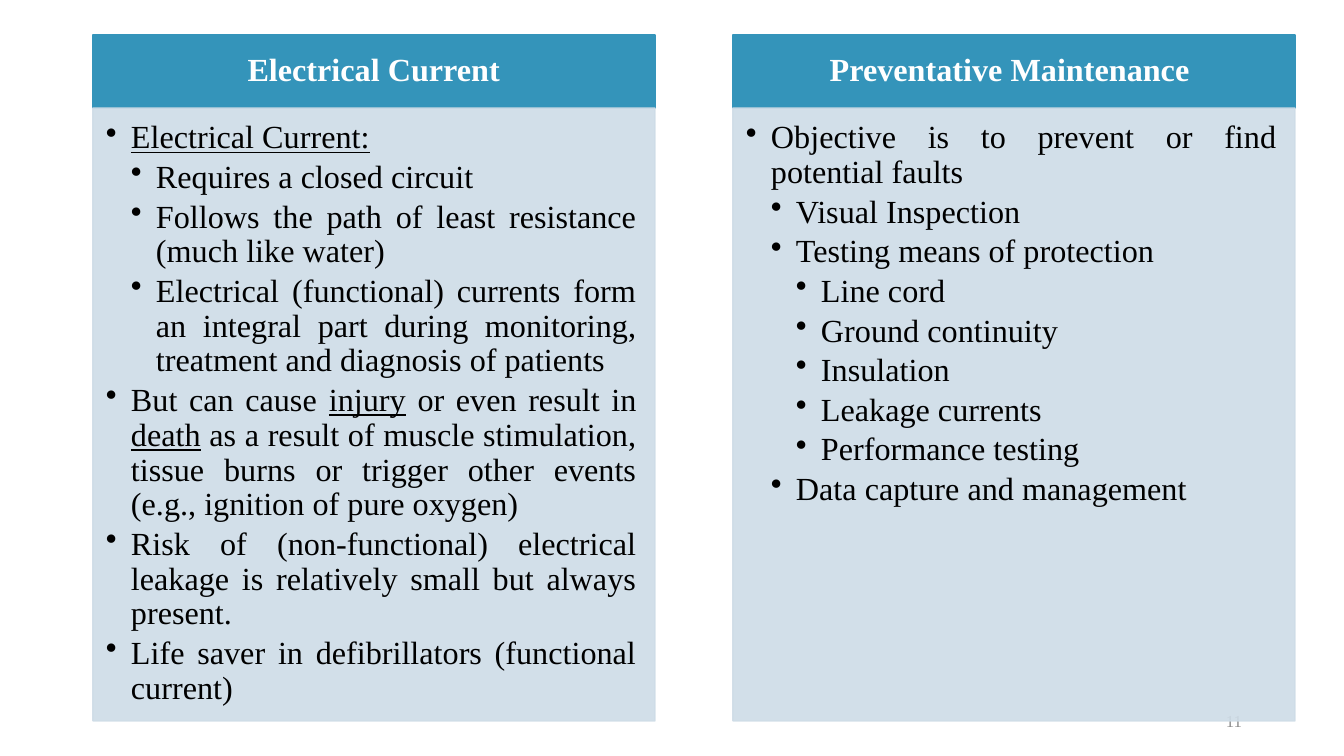
from dataclasses import dataclass

from lxml import etree
from pptx import Presentation
from pptx.dml.color import RGBColor
from pptx.enum.shapes import MSO_SHAPE
from pptx.enum.text import MSO_ANCHOR, PP_ALIGN
from pptx.oxml.ns import qn
from pptx.util import Emu, Pt


@dataclass(frozen=True)
class Theme:
    font: str = "Times New Roman"
    heading_fill: str = "3494BA"
    panel_fill: str = "CEDCE7"
    heading_text: str = "FFFFFF"
    body_text: str = "000000"
    page_text: str = "8C8C8C"
    text_size: int = 23
    page_size: int = 12
    panel_opacity: int = 90


THEME = Theme()
SLIDE_W, SLIDE_H = 1344, 756
COLUMN_LEFT, COLUMN_STEP, COLUMN_W = 93, 640, 562
HEADING_TOP, HEADING_H, PANEL_H = 35, 73, 613
INDENT = 25

# Each point is (level, alignment, text); words between underscores are underlined.
JUSTIFY, LEFT = PP_ALIGN.JUSTIFY, PP_ALIGN.LEFT
COLUMNS = [
    ("Electrical Current", [
        (0, JUSTIFY, "_Electrical Current:_"),
        (1, JUSTIFY, "Requires a closed circuit"),
        (1, JUSTIFY, "Follows the path of least resistance (much like water)"),
        (1, JUSTIFY, "Electrical (functional) currents form an integral part during "
                     "monitoring, treatment and diagnosis of patients"),
        (0, JUSTIFY, "But can cause _injury_ or even result in _death_ as a result of "
                     "muscle stimulation, tissue burns or trigger other events "
                     "(e.g., ignition of pure oxygen)"),
        (0, JUSTIFY, "Risk of (non-functional) electrical leakage is relatively small "
                     "but always present."),
        (0, JUSTIFY, "Life saver in defibrillators (functional current)"),
    ]),
    ("Preventative Maintenance ", [
        (0, JUSTIFY, "Objective is to prevent or find potential faults"),
        (1, LEFT, "Visual Inspection"),
        (1, LEFT, "Testing means of protection"),
        (2, LEFT, "Line cord"),
        (2, LEFT, "Ground continuity"),
        (2, LEFT, "Insulation"),
        (2, LEFT, "Leakage currents"),
        (2, LEFT, "Performance testing"),
        (1, LEFT, "Data capture and management"),
    ]),
]


def px(length):
    return Emu(round(length * 914400 / 100.8))


def style_font(run, color, size, bold=False):
    run.font.name = THEME.font
    run.font.size = Pt(size)
    run.font.bold = bold
    run.font.color.rgb = RGBColor.from_string(color)


def set_frame(frame, anchor, left, top, right, bottom):
    frame.word_wrap = True
    frame.vertical_anchor = anchor
    frame.margin_left, frame.margin_top = px(left), px(top)
    frame.margin_right, frame.margin_bottom = px(right), px(bottom)


def add_block(slide, left, top, height, color, opacity=100):
    """Add a column-wide rectangle whose fill and outline share one colour."""
    block = slide.shapes.add_shape(
        MSO_SHAPE.RECTANGLE, px(left), px(top), px(COLUMN_W), px(height))
    block.shadow.inherit = False
    block.fill.solid()
    block.line.width = Pt(1)
    for paint in (block.fill.fore_color, block.line.color):
        paint.rgb = RGBColor.from_string(color)
    if opacity < 100:
        for rgb in block.element.spPr.iter(qn("a:srgbClr")):
            etree.SubElement(rgb, qn("a:alpha"), val=str(opacity * 1000))
    return block


def add_heading(slide, left, heading):
    frame = add_block(slide, left, HEADING_TOP, HEADING_H, THEME.heading_fill).text_frame
    set_frame(frame, MSO_ANCHOR.MIDDLE, 18, 10, 18, 10)
    frame.text = heading
    line = frame.paragraphs[0]
    line.alignment = PP_ALIGN.CENTER
    line.line_spacing = 0.9
    style_font(line.runs[0], THEME.heading_text, THEME.text_size, bold=True)


def format_point(paragraph, level, alignment):
    paragraph.level = level
    paragraph.alignment = alignment
    paragraph.line_spacing = 0.9
    paragraph.space_after = Pt(THEME.text_size * 0.15)
    properties = paragraph._p.get_or_add_pPr()
    properties.set("marL", str(px(INDENT * (level + 1))))
    properties.set("indent", str(-px(INDENT)))
    etree.SubElement(properties, qn("a:buChar"), char="•")


def add_points(slide, left, points):
    panel = add_block(slide, left, HEADING_TOP + HEADING_H, PANEL_H,
                      THEME.panel_fill, THEME.panel_opacity)
    frame = panel.text_frame
    set_frame(frame, MSO_ANCHOR.TOP, 13, 13, 18, 20)
    for index, (level, alignment, text) in enumerate(points):
        point = frame.add_paragraph() if index else frame.paragraphs[0]
        format_point(point, level, alignment)
        for part, words in enumerate(text.split("_")):
            if words:
                run = point.add_run()
                run.text = words
                style_font(run, THEME.body_text, THEME.text_size)
                run.font.underline = part % 2 == 1


def add_page_number(slide, number):
    frame = slide.shapes.add_textbox(px(950), px(701), px(302), px(40)).text_frame
    set_frame(frame, MSO_ANCHOR.MIDDLE, 10, 5, 10, 5)
    frame.text = number
    frame.paragraphs[0].alignment = PP_ALIGN.RIGHT
    style_font(frame.paragraphs[0].runs[0], THEME.page_text, THEME.page_size)


def main():
    deck = Presentation()
    deck.slide_width, deck.slide_height = px(SLIDE_W), px(SLIDE_H)
    slide = deck.slides.add_slide(deck.slide_layouts[6])
    add_page_number(slide, "11")
    for index, (heading, points) in enumerate(COLUMNS):
        left = COLUMN_LEFT + index * COLUMN_STEP
        add_heading(slide, left, heading)
        add_points(slide, left, points)
    deck.save("out.pptx")


if __name__ == "__main__":
    main()
